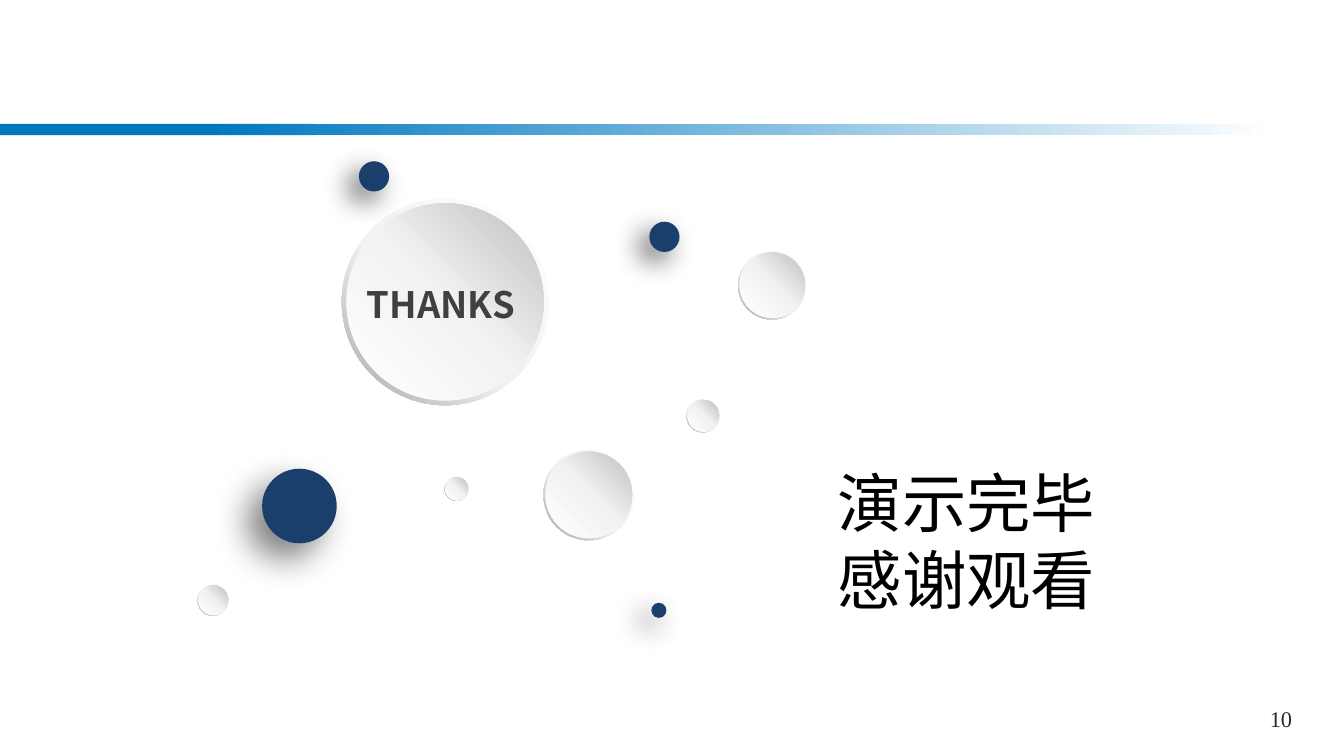
from pptx import Presentation
from pptx.dml.color import RGBColor
from pptx.enum.shapes import MSO_SHAPE as Shape
from pptx.enum.text import MSO_ANCHOR as Anchor, PP_ALIGN as Align
from pptx.oxml import parse_xml
from pptx.oxml.ns import nsdecls
from pptx.util import Inches, Pt

COLORS = {
    "band": "0078BF", "navy": "1A3F6C", "white": "FFFFFF", "pale": "F2F2F2",
    "silver": "BFBFBF", "gray": "A6A6A6", "heading": "404040",
    "number": "292929", "black": "000000",
}
SANS, SERIF = "Noto Sans CJK SC", "Times New Roman"
BAND_FADE = [(0, "band"), (100, "white")]
RIM_FADE = [(0, "white"), (55, "pale"), (100, "gray")]
FACE_FADE = [(0, "white"), (51, "pale"), (100, "silver")]


class SlideBuilder:
    def __init__(self, presentation):
        self.slide = presentation.slides.add_slide(presentation.slide_layouts[5])

    def shape(self, kind, left, top, width, height, color=None, fade=None, angle=0):
        shape = self.slide.shapes.add_shape(
            kind, Inches(left), Inches(top), Inches(width), Inches(height))
        shape.shadow.inherit = False
        shape.line.fill.background()
        if fade:
            self.gradient(shape, fade, angle)
        else:
            shape.fill.solid()
            shape.fill.fore_color.rgb = RGBColor.from_string(COLORS[color])
        return shape

    def gradient(self, shape, fade, angle):
        stops = "".join(
            f'<a:gs pos="{position * 1000}"><a:srgbClr val="{COLORS[name]}"/></a:gs>'
            for position, name in fade)
        shape.fill.background()
        properties = shape.element.spPr
        empty_fill = properties.find("{*}noFill")
        properties.replace(empty_fill, parse_xml(
            f'<a:gradFill {nsdecls("a")} rotWithShape="1"><a:gsLst>{stops}</a:gsLst>'
            f'<a:lin ang="{angle * 60000}" scaled="0"/></a:gradFill>'))

    def disc(self, left, top, size):
        """A pale button: shaded rim with a face set inside it."""
        rim = self.shape(Shape.DONUT, left, top, size, size, fade=RIM_FADE, angle=135)
        rim.adjustments[0] = 0.049
        inset = size * 0.023
        face = size - 2 * inset
        self.shape(Shape.OVAL, left + inset, top + inset, face, face,
                   fade=FACE_FADE, angle=315)

    def ball(self, left, top, size, opacity, blur, distance):
        """A navy dot with a soft shadow to the lower left."""
        ball = self.shape(Shape.OVAL, left, top, size, size, "navy")
        effects = ball.element.spPr.find("{*}effectLst")
        effects.append(parse_xml(
            f'<a:outerShdw {nsdecls("a")} blurRad="{Pt(blur)}" dist="{Pt(distance)}" '
            f'dir="{135 * 60000}" algn="tr" rotWithShape="0">'
            f'<a:srgbClr val="{COLORS["black"]}"><a:alpha val="{opacity * 1000}"/>'
            f'</a:srgbClr></a:outerShdw>'))

    def text(self, left, top, width, height, words, size, color, **style):
        box = self.slide.shapes.add_textbox(0, 0, 0, 0)
        self.fill_box(box, left, top, width, height, words, size, color, **style)

    def title(self, left, top, width, height, words, size, color, **style):
        self.fill_box(self.slide.shapes.title, left, top, width, height,
                      words, size, color, **style)

    def fill_box(self, box, left, top, width, height, words, size, color,
                 font=SANS, bold=False, align=Align.LEFT, anchor=Anchor.MIDDLE,
                 spacing=None):
        box.left, box.top = Inches(left), Inches(top)
        box.width, box.height = Inches(width), Inches(height)
        frame = box.text_frame
        frame.text = words
        frame.word_wrap = True
        frame.vertical_anchor = anchor
        for paragraph in frame.paragraphs:
            paragraph.alignment = align
            if spacing:
                paragraph.line_spacing = Pt(spacing)
            for run in paragraph.runs:
                run.font.name, run.font.size, run.font.bold = font, Pt(size), bold
                run.font.color.rgb = RGBColor.from_string(COLORS[color])
                run.font._element.find("{*}latin").addnext(
                    parse_xml(f'<a:ea {nsdecls("a")} typeface="{font}"/>'))


def main():
    presentation = Presentation()
    presentation.slide_width, presentation.slide_height = Inches(13.33), Inches(7.5)
    builder = SlideBuilder(presentation)

    # Header band
    builder.shape(Shape.RECTANGLE, 0, 1.23, 3.11, 0.11, "band")
    builder.shape(Shape.RECTANGLE, 2.11, 1.23, 10.56, 0.11, fade=BAND_FADE)

    # Pale discs
    for left, top, size in [(3.39, 1.97, 2.05), (6.81, 3.96, 0.33), (7.32, 2.49, 0.68),
                            (4.41, 4.73, 0.24), (1.96, 5.8, 0.31), (5.39, 4.46, 0.9)]:
        builder.disc(left, top, size)

    # Navy balls
    builder.ball(2.6, 4.65, 0.74, opacity=50, blur=25, distance=15)
    for left, top, size in [(3.56, 1.6, 0.3), (6.44, 2.2, 0.3), (6.46, 5.98, 0.15)]:
        builder.ball(left, top, size, opacity=60, blur=20, distance=10)

    # Closing words and slide number
    builder.text(3.54, 2.75, 1.78, 0.54, "THANKS", 26, "heading", bold=True)
    builder.title(8.21, 4.54, 2.78, 1.65, "演示完毕\n感谢观看", 46, "black", spacing=55)
    builder.text(12.34, 6.95, 0.73, 0.5, "10", 16, "number", font=SERIF,
                 align=Align.CENTER, anchor=Anchor.TOP)

    presentation.save("out.pptx")


if __name__ == "__main__":
    main()
